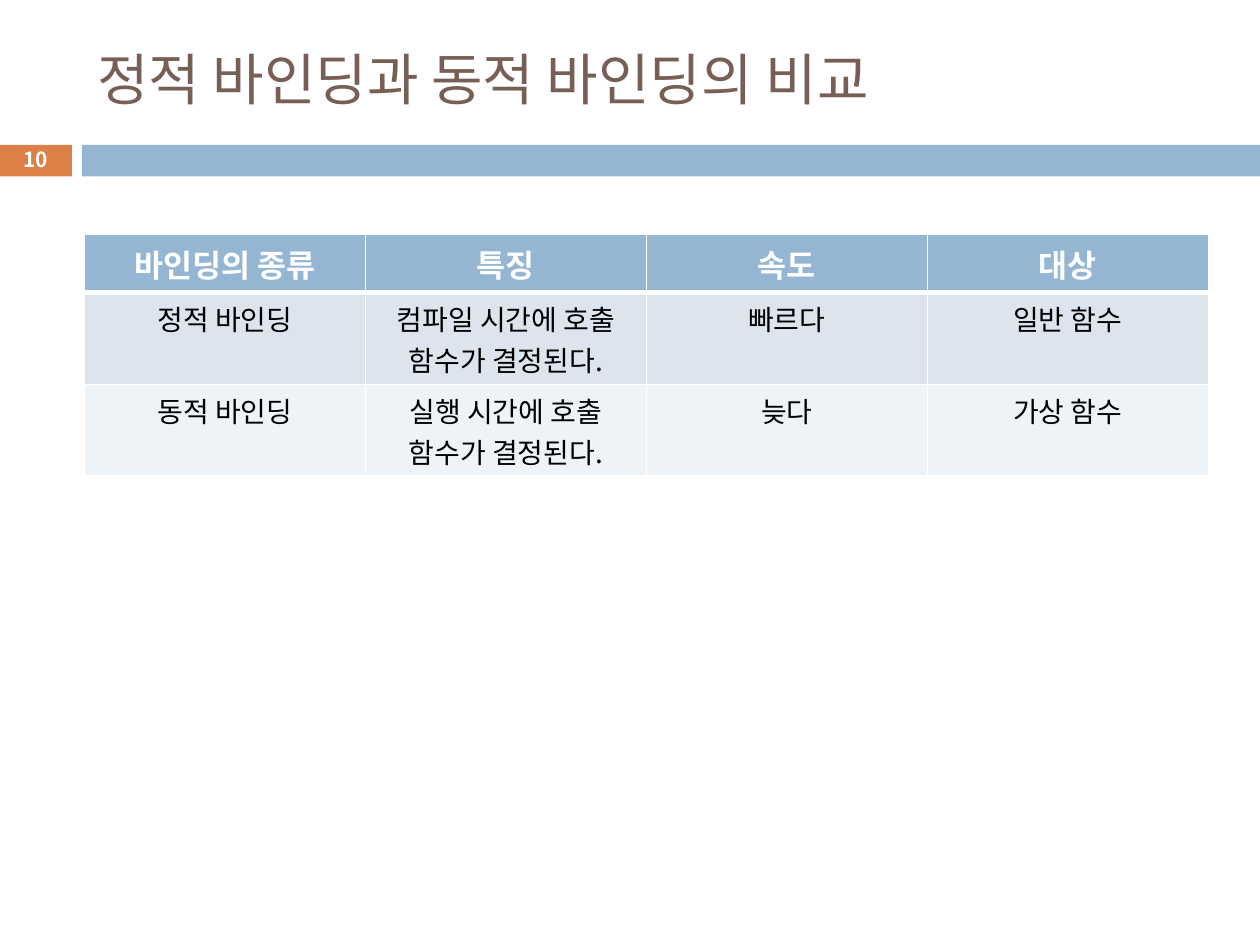
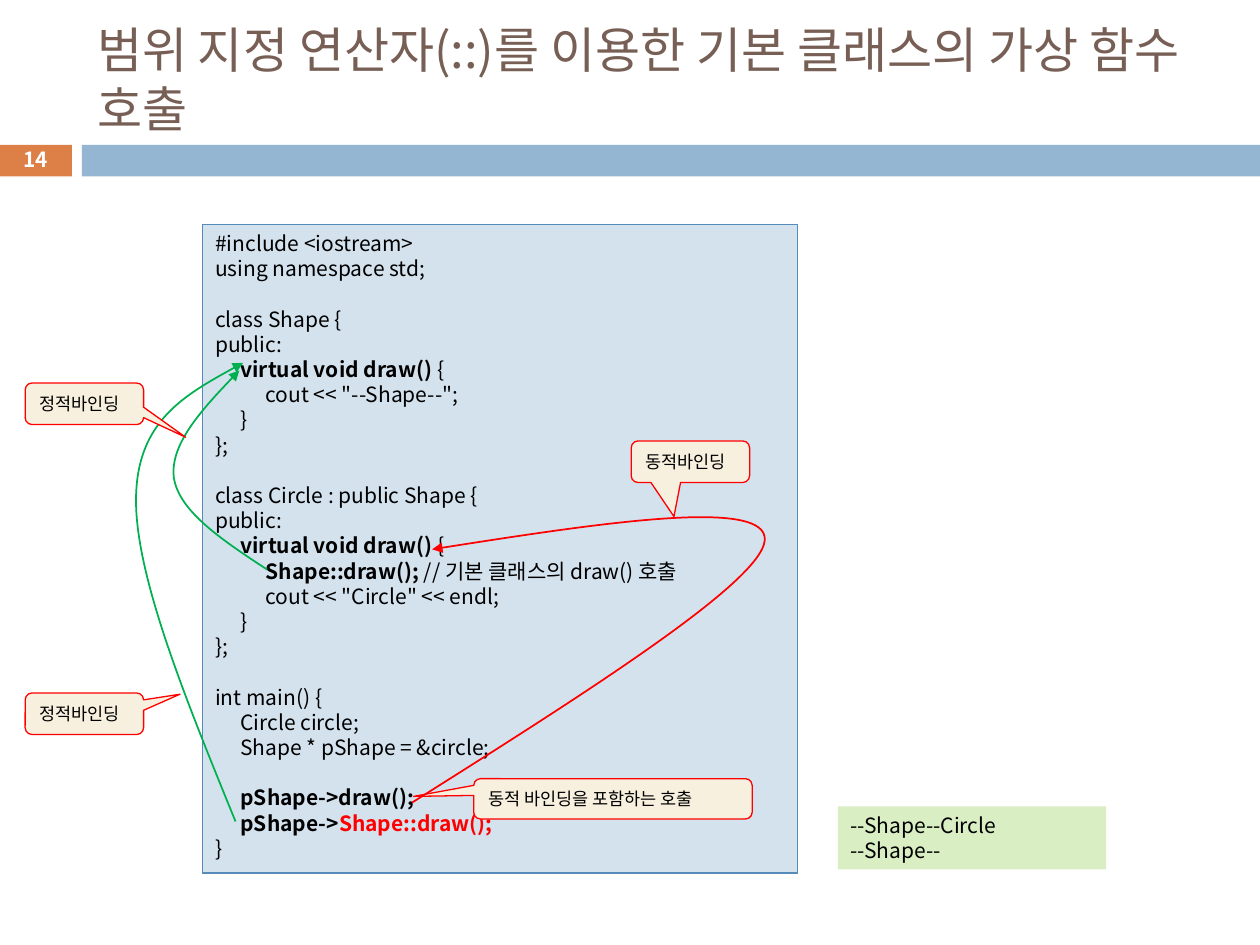
"""Build two slides on static and dynamic binding in C++."""
from dataclasses import dataclass

from lxml.etree import SubElement
from pptx import Presentation
from pptx.dml.color import RGBColor
from pptx.enum.shapes import MSO_SHAPE
from pptx.enum.text import MSO_ANCHOR, MSO_AUTO_SIZE, PP_ALIGN
from pptx.oxml import parse_xml
from pptx.oxml.ns import nsdecls, qn
from pptx.util import Inches, Pt


@dataclass(frozen=True)
class Theme:
    font: str = "Noto Sans CJK KR"
    title: str = "775F55"
    accent: str = "DD8047"
    band: str = "94B6D2"
    white: str = "FFFFFF"
    black: str = "000000"
    red: str = "FF0000"
    green: str = "00B050"
    row_fills: tuple = ("DCE5EE", "EEF3F7")
    code_fill: str = "D4E2ED"
    code_line: str = "558BB8"
    output_fill: str = "DAEEC4"
    callout_fill: str = "F7F0DE"
    number_size: float = 11.9
    header_size: int = 18
    cell_size: int = 16
    code_size: int = 12
    code_pitch: float = 14.4
    callout_size: int = 10
    indent: float = 0.2


THEME = Theme()

COMPARISON = dict(title="정적 바인딩과 동적 바인딩의 비교", number=10, size=32)
SCOPE = dict(title="범위 지정 연산자(::)를 이용한 기본 클래스의 가상 함수 호출",
             number=14, size=28, pitch=33.7)

BINDING_TABLE = [
    ["바인딩의 종류", "특징", "속도", "대상"],
    ["정적 바인딩", "컴파일 시간에 호출 함수가 결정된다.", "빠르다", "일반 함수"],
    ["동적 바인딩", "실행 시간에 호출 함수가 결정된다.", "늦다", "가상 함수"],
]
ROW_HEIGHTS = [0.46, 0.73, 0.73]

PLAIN = dict(color=THEME.black)
BOLD = dict(color=THEME.black, bold=True)
BOLD_RED = dict(color=THEME.red, bold=True)

CODE_BLOCKS = [
    [(0, ("#include <iostream>", PLAIN)),
     (0, ("using namespace std;", PLAIN))],
    [(0, ("class Shape {", PLAIN)),
     (0, ("public:", PLAIN)),
     (1, ("virtual void draw() ", BOLD), ("{", PLAIN)),
     (2, ('cout << "--Shape--";', PLAIN)),
     (1, ("}", PLAIN)),
     (0, ("};", PLAIN))],
    [(0, ("class Circle : public Shape {", PLAIN)),
     (0, ("public:", PLAIN)),
     (1, ("virtual void draw() ", BOLD), ("{", PLAIN)),
     (2, ("Shape::draw(); ", BOLD), ("// 기본 클래스의 draw() 호출", PLAIN)),
     (2, ('cout << "Circle" << endl;', PLAIN)),
     (1, ("}", PLAIN)),
     (0, ("};", PLAIN))],
    [(0, ("int main() {", PLAIN)),
     (1, ("Circle circle;", PLAIN)),
     (1, ("Shape * pShape = &circle;", PLAIN))],
    [(1, ("pShape->draw();", BOLD)),
     (1, ("pShape->", BOLD), ("Shape::draw();", BOLD_RED)),
     (0, ("}", PLAIN))],
]
OUTPUT_BLOCKS = [[(0, ("--Shape--Circle", PLAIN)), (0, ("--Shape--", PLAIN))]]

DYNAMIC_CALLOUT = ("동적바인딩", (5.01, 3.5, 0.94, 0.33), (-0.139, 1.319))
OTHER_CALLOUTS = [
    ("동적 바인딩을 포함하는 호출", (3.76, 6.18, 2.21, 0.32), (-0.716, -0.06)),
    ("정적바인딩", (0.2, 5.5, 0.94, 0.33), (0.807, -0.468)),
    ("정적바인딩", (0.2, 3.04, 0.94, 0.33), (0.855, 0.805)),
]
STATIC_ARROWS = [
    [(2.12, 4.52), (1.77, 4.29), (1.42, 4.06), (1.38, 3.79),
     (1.35, 3.53), (1.62, 3.23), (1.9, 2.94)],
    [(1.87, 6.52), (1.47, 5.54), (1.07, 4.56), (1.08, 3.95),
     (1.09, 3.34), (1.51, 3.11), (1.93, 2.88)],
]
DYNAMIC_ARROW = [(3.27, 6.37), (4.65, 5.5), (6.04, 4.62), (6.07, 4.29),
                 (6.1, 3.95), (4.76, 4.15), (3.43, 4.36)]


def rgb(value):
    return RGBColor.from_string(value)


def add_span(para, text, size, color, bold=False):
    span = para.add_run()
    span.text = text
    font = span.font
    font.size, font.bold, font.name = Pt(size), bold, THEME.font
    font.color.rgb = rgb(color)
    SubElement(font._element, qn("a:ea"), typeface=THEME.font)


def add_box(page, kind, place, fill, line=None):
    box = page.shapes.add_shape(kind, *map(Inches, place))
    box.shadow.inherit = False
    box.fill.solid()
    box.fill.fore_color.rgb = rgb(fill)
    if line:
        box.line.color.rgb = rgb(line)
        box.line.width = Pt(0.75)
    else:
        box.line.fill.background()
    box.text_frame.word_wrap = True
    return box


def add_page(deck, title, number, size, pitch=None):
    page = deck.slides.add_slide(deck.slide_layouts[5])
    add_box(page, MSO_SHAPE.RECTANGLE, (-0.01, 1.15, 0.58, 0.25), THEME.accent)
    add_box(page, MSO_SHAPE.RECTANGLE, (0.65, 1.15, 9.35, 0.25), THEME.band)

    heading = page.shapes.title
    heading.left, heading.top, heading.width, heading.height = map(
        Inches, (0.67, 0.25, 8.92, 0.74))
    frame = heading.text_frame
    frame.word_wrap, frame.auto_size = True, MSO_AUTO_SIZE.NONE
    frame.vertical_anchor = MSO_ANCHOR.MIDDLE
    para = frame.paragraphs[0]
    para.alignment = PP_ALIGN.LEFT
    if pitch:
        para.line_spacing = Pt(pitch)
    add_span(para, title, size, THEME.title)

    frame = page.shapes.add_textbox(
        *map(Inches, (-0.01, 1.13, 0.58, 0.27))).text_frame
    frame.word_wrap = True
    frame.margin_top = frame.margin_bottom = 0
    frame.vertical_anchor = MSO_ANCHOR.MIDDLE
    para = frame.paragraphs[0]
    para.alignment = PP_ALIGN.CENTER
    add_span(para, str(number), THEME.number_size, THEME.white, True)
    return page


def set_borders(cell, bottom):
    properties = cell._tc.get_or_add_tcPr()
    widths = dict(lnL=1, lnR=1, lnT=1, lnB=bottom)
    for index, (side, width) in enumerate(widths.items()):
        properties.insert(index, parse_xml(
            f'<a:{side} {nsdecls("a")} w="{Pt(width)}"><a:solidFill>'
            f'<a:srgbClr val="{THEME.white}"/></a:solidFill></a:{side}>'))


def add_binding_table(page):
    rows, columns = len(BINDING_TABLE), len(BINDING_TABLE[0])
    table = page.shapes.add_table(
        rows, columns, *map(Inches, (0.67, 1.86, 8.92, sum(ROW_HEIGHTS)))).table
    for row, height in zip(table.rows, ROW_HEIGHTS):
        row.height = Inches(height)
    for row_index, texts in enumerate(BINDING_TABLE):
        header = row_index == 0
        fill = THEME.band if header else THEME.row_fills[row_index - 1]
        size = THEME.header_size if header else THEME.cell_size
        color = THEME.white if header else THEME.black
        for column_index, text in enumerate(texts):
            cell = table.cell(row_index, column_index)
            cell.fill.solid()
            cell.fill.fore_color.rgb = rgb(fill)
            set_borders(cell, 3 if header else 1)
            para = cell.text_frame.paragraphs[0]
            para.alignment = PP_ALIGN.CENTER
            add_span(para, text, size, color, header)


def add_listing(page, place, fill, blocks, line=None):
    box = add_box(page, MSO_SHAPE.RECTANGLE, place, fill, line)
    frame = box.text_frame
    frame.vertical_anchor = MSO_ANCHOR.TOP
    para = frame.paragraphs[0]
    for block_index, block in enumerate(blocks):
        for line_index, (level, *spans) in enumerate(block):
            if block_index or line_index:
                para = frame.add_paragraph()
            para.alignment = PP_ALIGN.LEFT
            para.line_spacing = Pt(THEME.code_pitch)
            if block_index and line_index == 0:
                para.space_before = Pt(THEME.code_pitch)
            para._p.get_or_add_pPr().set("marL", str(Inches(level * THEME.indent)))
            for text, style in spans:
                add_span(para, text, THEME.code_size, **style)


def add_callout(page, text, place, tip):
    box = add_box(page, MSO_SHAPE.ROUNDED_RECTANGULAR_CALLOUT, place,
                  THEME.callout_fill, THEME.red)
    box.adjustments[0], box.adjustments[1] = tip
    frame = box.text_frame
    frame.vertical_anchor = MSO_ANCHOR.MIDDLE
    para = frame.paragraphs[0]
    para.alignment = PP_ALIGN.LEFT
    add_span(para, text, THEME.callout_size, THEME.black)


def add_curved_arrow(page, points, color):
    start, *controls = [(Inches(x), Inches(y)) for x, y in points]
    builder = page.shapes.build_freeform(*start)
    builder.add_line_segments(controls, close=False)
    arrow = builder.convert_to_shape()
    arrow.shadow.inherit = False
    arrow.fill.background()
    arrow.line.color.rgb = rgb(color)
    arrow.line.width = Pt(1)
    SubElement(arrow.line._get_or_add_ln(), qn("a:tailEnd"), type="triangle")
    segments = list(arrow._element.iter(qn("a:lnTo")))
    outline = segments[0].getparent()
    for first in range(0, len(segments), 3):
        curve = SubElement(outline, qn("a:cubicBezTo"))
        for segment in segments[first:first + 3]:
            curve.append(segment[0])
            outline.remove(segment)


def main():
    deck = Presentation()
    deck.slide_width, deck.slide_height = Inches(10), Inches(7.5)

    add_binding_table(add_page(deck, **COMPARISON))

    page = add_page(deck, **SCOPE)
    add_listing(page, (1.61, 1.78, 4.72, 5.15), THEME.code_fill,
                CODE_BLOCKS, THEME.code_line)
    add_listing(page, (6.65, 6.4, 2.13, 0.5), THEME.output_fill, OUTPUT_BLOCKS)
    add_callout(page, *DYNAMIC_CALLOUT)
    for points in STATIC_ARROWS:
        add_curved_arrow(page, points, THEME.green)
    for callout in OTHER_CALLOUTS:
        add_callout(page, *callout)
    add_curved_arrow(page, DYNAMIC_ARROW, THEME.red)

    deck.save("out.pptx")


if __name__ == "__main__":
    main()
